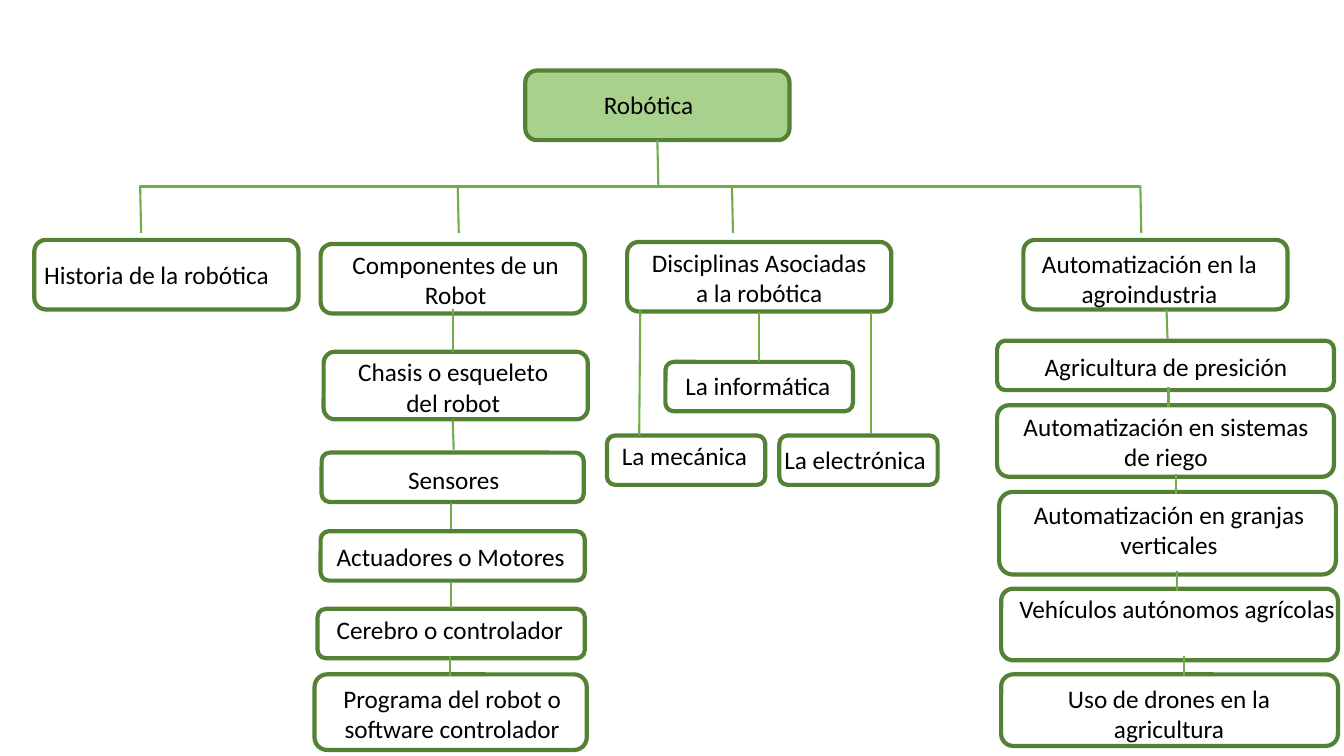
from pptx import Presentation
from pptx.dml.color import RGBColor
from pptx.enum.shapes import MSO_CONNECTOR, MSO_SHAPE
from pptx.enum.text import MSO_AUTO_SIZE, PP_ALIGN
from pptx.oxml.ns import qn
from pptx.util import Inches, Pt
from lxml.etree import SubElement

COLORS = {"border": "548235", "root": "A9D18E", "branch": "70AD47", "text": "000000"}
LEFT, CENTER = PP_ALIGN.LEFT, PP_ALIGN.CENTER
ONE_LINE, TWO_LINES = 0.4, 0.71

# Topic, frame (left, top, width, height), label (left, top, width, height), alignment, wrap
ROOT = ("Robótica", (5.21, 0.7, 2.62, 0.69), (5.89, 0.84, 1.1, ONE_LINE), LEFT, False)
BRANCHES = [
    ("Historia de la robótica", (0.34, 2.38, 2.62, 0.69),
     (0.34, 2.52, 2.62, ONE_LINE), LEFT, True),
    ("Componentes de un Robot", (3.18, 2.42, 2.62, 0.69),
     (3.24, 2.42, 2.56, TWO_LINES), CENTER, True),
    ("Disciplinas Asociadas a la robótica", (6.22, 2.4, 2.62, 0.69),
     (6.28, 2.4, 2.5, TWO_LINES), CENTER, True),
    ("Automatización en la agroindustria", (10.15, 2.38, 2.62, 0.69),
     (10.09, 2.41, 2.62, TWO_LINES), CENTER, True),
]
COMPONENTS = [
    ("Chasis o esqueleto del robot", (3.21, 3.49, 2.62, 0.67),
     (3.29, 3.49, 2.41, TWO_LINES), CENTER, True),
    ("Sensores", (3.19, 4.49, 2.6, 0.49), (3.79, 4.56, 1.42, ONE_LINE), CENTER, True),
    ("Actuadores o Motores", (3.18, 5.27, 2.62, 0.49),
     (3.24, 5.32, 2.6, ONE_LINE), LEFT, True),
    ("Cerebro o controlador", (3.15, 6.04, 2.65, 0.49),
     (3.24, 6.05, 2.45, ONE_LINE), LEFT, True),
    ("Programa del robot o software controlador", (3.12, 6.69, 2.7, 0.75),
     (3.15, 6.73, 2.67, TWO_LINES), CENTER, True),
]
DISCIPLINES = [
    ("La mecánica", (6.02, 4.32, 1.57, 0.49), (6.07, 4.32, 1.46, ONE_LINE), LEFT, False),
    ("La informática", (6.6, 3.59, 1.86, 0.49), (6.7, 3.62, 1.66, ONE_LINE), LEFT, False),
    ("La electrónica", (7.73, 4.32, 1.57, 0.49), (7.68, 4.36, 1.62, ONE_LINE), LEFT, False),
]
AUTOMATION = [
    ("Agricultura de presición", (9.89, 3.38, 3.34, 0.49),
     (9.9, 3.44, 3.33, ONE_LINE), CENTER, True),
    ("Automatización en sistemas de riego", (9.89, 4.02, 3.34, 0.71),
     (9.9, 4.03, 3.33, TWO_LINES), CENTER, True),
    ("Automatización en granjas verticales", (9.91, 4.88, 3.34, 0.82),
     (9.93, 4.9, 3.33, TWO_LINES), CENTER, True),
    ("Vehículos autónomos agrícolas", (9.93, 5.84, 3.34, 0.71),
     (10.01, 5.84, 3.33, TWO_LINES), CENTER, False),
    ("Uso de drones en la agricultura", (9.93, 6.69, 3.34, 0.71),
     (9.93, 6.73, 3.33, TWO_LINES), CENTER, True),
]

# Links as (x1, y1, x2, y2)
TRUNK = [(6.52, 1.39, 6.53, 1.86), (1.39, 1.85, 11.31, 1.85)]
BRANCH_DROPS = [(x, 1.84, x + 0.01, 2.31) for x in (1.39, 4.54, 7.26, 11.31)]
COMPONENT_LINKS = [
    (4.49, 3.07, 4.49, 3.49), (4.49, 4.17, 4.5, 4.46), (4.47, 4.99, 4.47, 5.25),
    (4.47, 5.77, 4.47, 6.03), (4.46, 6.51, 4.46, 6.71),
]
DISCIPLINE_LINKS = [
    (6.35, 3.08, 6.34, 4.32), (7.53, 3.1, 7.53, 3.59), (8.64, 3.1, 8.64, 4.3),
]
AUTOMATION_LINKS = [(11.57, 3.07, 11.58, 3.36)] + [
    (x, y, x, y + 0.2)
    for x, y in ((11.59, 3.84), (11.66, 4.7), (11.67, 5.66), (11.74, 6.51))
]


def rgb(name):
    """Return a palette colour."""
    return RGBColor.from_string(COLORS[name])


def add_frame(slide, bounds, fill=None):
    """Draw a rounded frame, filled only when a colour is named."""
    frame = slide.shapes.add_shape(MSO_SHAPE.ROUNDED_RECTANGLE, *map(Inches, bounds))
    frame.shadow.inherit = False
    if fill:
        frame.fill.solid()
        frame.fill.fore_color.rgb = rgb(fill)
    else:
        frame.fill.background()
    frame.line.color.rgb = rgb("border")
    frame.line.width = Pt(3)


def add_label(slide, text, bounds, align, wrap):
    """Place the text of a topic."""
    label = slide.shapes.add_textbox(*map(Inches, bounds)).text_frame
    label.word_wrap = wrap
    label.auto_size = MSO_AUTO_SIZE.SHAPE_TO_FIT_TEXT
    paragraph = label.paragraphs[0]
    paragraph.text = text
    paragraph.alignment = align
    paragraph.font.name = "Calibri"
    paragraph.font.size = Pt(18)
    paragraph.font.color.rgb = rgb("text")


def add_topic(slide, topic, fill=None):
    """Draw one topic: its frame and its label."""
    text, frame_bounds, label_bounds, align, wrap = topic
    add_frame(slide, frame_bounds, fill)
    add_label(slide, text, label_bounds, align, wrap)


def add_link(slide, ends):
    """Draw a straight green link without shadow."""
    link = slide.shapes.add_connector(MSO_CONNECTOR.STRAIGHT, *map(Inches, ends))
    link.line.color.rgb = rgb("branch")
    link.line.width = Pt(1.5)
    SubElement(link._element.spPr, qn("a:effectLst"))


def main():
    """Build the concept map and save it."""
    deck = Presentation()
    deck.slide_width, deck.slide_height = Inches(13.33), Inches(7.5)
    slide = deck.slides.add_slide(deck.slide_layouts[6])
    add_topic(slide, ROOT, "root")
    for topic in BRANCHES + COMPONENTS + DISCIPLINES + AUTOMATION:
        add_topic(slide, topic)
    for ends in TRUNK + BRANCH_DROPS + COMPONENT_LINKS + DISCIPLINE_LINKS + AUTOMATION_LINKS:
        add_link(slide, ends)
    deck.save("out.pptx")


main()
